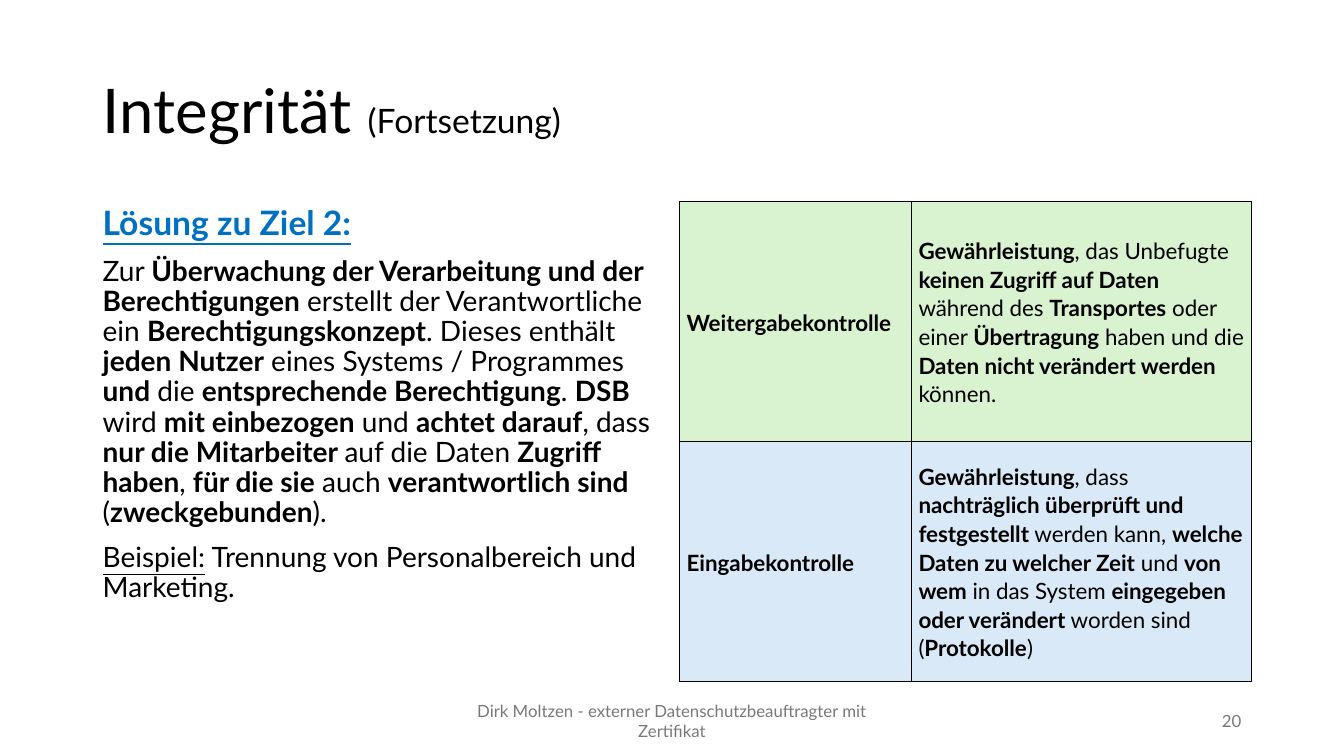
"""Builds the slide on integrity controls with a text column and a table."""
from dataclasses import dataclass

from lxml import etree
from pptx import Presentation
from pptx.dml.color import RGBColor
from pptx.enum.text import MSO_ANCHOR, PP_ALIGN
from pptx.oxml.ns import qn
from pptx.util import Inches, Pt

LEFT, CENTER, RIGHT = PP_ALIGN.LEFT, PP_ALIGN.CENTER, PP_ALIGN.RIGHT
TOP, MIDDLE = MSO_ANCHOR.TOP, MSO_ANCHOR.MIDDLE


@dataclass(frozen=True)
class Theme:
    font: str = "Lato"
    text: str = "000000"
    accent: str = "0070C0"
    muted: str = "797979"
    green: str = "D9F2D0"
    blue: str = "DAE9F7"
    title: int = 44
    heading: int = 24
    body: int = 20
    cell: int = 16
    footer: int = 12


THEME = Theme()

TITLE = "Integrität "
SUBTITLE = "(Fortsetzung)"
HEADING = "*Lösung zu Ziel 2:*"
SOLUTION = (
    "Zur *Überwachung der Verarbeitung und der Berechtigungen* erstellt der "
    "Verantwortliche ein *Berechtigungskonzept*. Dieses enthält *jeden Nutzer* "
    "eines Systems / Programmes *und* die *entsprechende Berechtigung*. *DSB* wird "
    "*mit einbezogen* und *achtet darauf*, dass *nur die Mitarbeiter *auf die Daten "
    "*Zugriff haben*, *für die sie* auch *verantwortlich sind* (*zweckgebunden*)."
)
EXAMPLE_LABEL = "Beispiel:"
EXAMPLE = " Trennung von Personalbereich und Marketing."
CONTROLS = [
    ("*Weitergabekontrolle*",
     "*Gewährleistung*, das Unbefugte *keinen Zugriff auf Daten* während des "
     "*Transportes* oder einer *Übertragung* haben und die "
     "*Daten nicht verändert werden* können.",
     THEME.green),
    ("*Eingabekontrolle*",
     "*Gewährleistung*, dass *nachträglich überprüft und festgestellt* werden kann, "
     "*welche Daten zu welcher Zeit* und *von wem* in das System "
     "*eingegeben oder verändert* worden sind (*Protokolle*)",
     THEME.blue),
]
FOOTER = "Dirk Moltzen - externer Datenschutzbeauftragter mit Zertifikat"
PAGE = "20"

WIDTH, HEIGHT = 13.33, 7.5
MARGIN = 0.92
COLUMN_W, CONTENT_TOP, CONTENT_H = 5.67, 2, 4.76
TABLE_LEFT = WIDTH - MARGIN - COLUMN_W
LABEL_W = 2.3
FOOTER_TOP, FOOTER_H, FOOTER_W, PAGE_W = 6.95, 0.4, 4.5, 3


def add_text(p, text, *, size, color=THEME.text, underline=False):
    """Add runs to a paragraph, with asterisks switching bold on and off."""
    for i, part in enumerate(text.split("*")):
        if part:
            r = p.add_run()
            r.text = part
            r.font.name = THEME.font
            r.font.size = Pt(size)
            r.font.bold = i % 2 == 1
            r.font.underline = underline
            r.font.color.rgb = RGBColor.from_string(color)


def add_box(s, left, top, width, height, *, anchor=MIDDLE, align=LEFT):
    """Add a wrapping text box and return its text frame."""
    tf = s.shapes.add_textbox(*map(Inches, (left, top, width, height))).text_frame
    tf.word_wrap = True
    tf.vertical_anchor = anchor
    tf.paragraphs[0].alignment = align
    return tf


def add_borders(cell):
    """Give a table cell thin lines on all four sides."""
    tc_pr = cell._tc.get_or_add_tcPr()
    for side in ("a:lnL", "a:lnR", "a:lnT", "a:lnB"):
        line = etree.SubElement(tc_pr, qn(side), w=str(Pt(1)))
        fill = etree.SubElement(line, qn("a:solidFill"))
        etree.SubElement(fill, qn("a:srgbClr"), val=THEME.text)


def add_title(s):
    """Place and fill the title placeholder."""
    sp = s.shapes.title
    sp.left, sp.top, sp.width, sp.height = map(
        Inches, (MARGIN, 0.4, WIDTH - 2 * MARGIN, 1.45))
    sp.text_frame.vertical_anchor = MIDDLE
    p = sp.text_frame.paragraphs[0]
    p.alignment = LEFT
    p.line_spacing = 0.9
    add_text(p, TITLE, size=THEME.title)
    add_text(p, SUBTITLE, size=THEME.heading)


def add_solution(s):
    """Add the explanatory text on the left."""
    tf = add_box(s, MARGIN, CONTENT_TOP, COLUMN_W, CONTENT_H, anchor=TOP)
    heading, solution, example = tf.paragraphs[0], tf.add_paragraph(), tf.add_paragraph()
    for p in tf.paragraphs:
        p.line_spacing = 0.9
    for p in (solution, example):
        p.space_before = Pt(10)
    add_text(heading, HEADING, size=THEME.heading, color=THEME.accent, underline=True)
    add_text(solution, SOLUTION, size=THEME.body)
    add_text(example, EXAMPLE_LABEL, size=THEME.body, underline=True)
    add_text(example, EXAMPLE, size=THEME.body)


def add_controls(s):
    """Add the table of controls on the right."""
    table = s.shapes.add_table(len(CONTROLS), 2, *map(
        Inches, (TABLE_LEFT, CONTENT_TOP, COLUMN_W, CONTENT_H))).table
    table.first_row = table.horz_banding = False
    for column, width in zip(table.columns, (LABEL_W, COLUMN_W - LABEL_W)):
        column.width = Inches(width)
    for row, (label, description, color) in zip(table.rows, CONTROLS):
        row.height = Inches(CONTENT_H / len(CONTROLS))
        for cell, text in zip(row.cells, (label, description)):
            add_borders(cell)
            cell.fill.solid()
            cell.fill.fore_color.rgb = RGBColor.from_string(color)
            cell.vertical_anchor = MIDDLE
            cell.margin_left = cell.margin_right = Inches(0.07)
            cell.margin_top = cell.margin_bottom = 0
            p = cell.text_frame.paragraphs[0]
            p.line_spacing = 1.07
            p.space_after = Pt(8)
            add_text(p, text, size=THEME.cell)


def add_footer(s):
    """Add the centred footer and the page number."""
    for text, left, width, align in (
        (FOOTER, (WIDTH - FOOTER_W) / 2, FOOTER_W, CENTER),
        (PAGE, WIDTH - MARGIN - PAGE_W, PAGE_W, RIGHT),
    ):
        tf = add_box(s, left, FOOTER_TOP, width, FOOTER_H, align=align)
        add_text(tf.paragraphs[0], text, size=THEME.footer, color=THEME.muted)


def main():
    """Build and save the presentation."""
    prs = Presentation()
    prs.slide_width, prs.slide_height = Inches(WIDTH), Inches(HEIGHT)
    s = prs.slides.add_slide(prs.slide_layouts[5])
    add_title(s)
    add_solution(s)
    add_controls(s)
    add_footer(s)
    prs.save("out.pptx")


if __name__ == "__main__":
    main()
